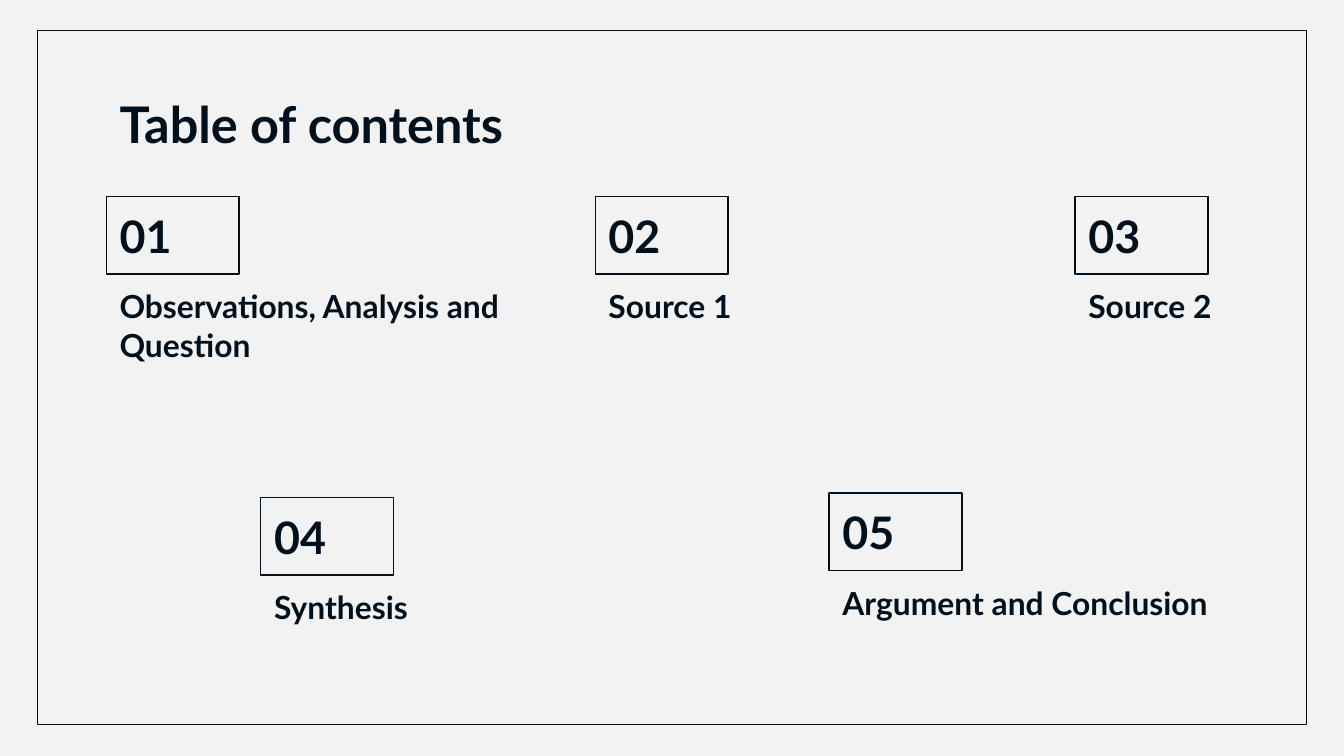
from dataclasses import dataclass

from pptx import Presentation
from pptx.dml.color import RGBColor
from pptx.enum.shapes import MSO_SHAPE as Shape
from pptx.enum.text import MSO_ANCHOR as Anchor, MSO_AUTO_SIZE as AutoSize, PP_ALIGN as Align
from pptx.util import Cm, Pt


@dataclass(frozen=True)
class Theme:
    font: str = "Lato"
    ink: RGBColor = RGBColor(0x00, 0x11, 0x1D)
    paper: RGBColor = RGBColor(0xF2, 0xF2, 0xF2)
    title: float = 27
    number: float = 24
    caption: float = 17
    line: float = 0.75


@dataclass(frozen=True)
class Entry:
    caption: str
    left: float
    top: float


THEME = Theme()
BOX_W, BOX_H = 2.51, 1.47
CAPTION_W = 7.98
INSET = 0.25
ENTRIES = [
    Entry("Observations, Analysis and Question", 2.01, 3.71),
    Entry("Source 1", 11.25, 3.71),
    Entry("Source 2", 20.32, 3.71),
    Entry("Synthesis", 4.93, 9.4),
    Entry("Argument and Conclusion", 15.67, 9.32),
]


def set_text(sp, text: str, size: float, anchor=Anchor.TOP) -> None:
    tf = sp.text_frame
    frame_format = {
        "word_wrap": True,
        "auto_size": AutoSize.NONE,
        "vertical_anchor": anchor,
        **{f"margin_{side}": Cm(INSET) for side in ("left", "top", "right", "bottom")},
    }
    for name, value in frame_format.items():
        setattr(tf, name, value)
    p = tf.paragraphs[0]
    p.alignment = Align.LEFT
    r = p.add_run()
    r.text = text
    for name, value in {"name": THEME.font, "size": Pt(size), "bold": True}.items():
        setattr(r.font, name, value)
    r.font.color.rgb = THEME.ink


def add_outline(s, kind: Shape, left: float, top: float, width: float, height: float):
    sp = s.shapes.add_shape(kind, Cm(left), Cm(top), Cm(width), Cm(height))
    sp.shadow.inherit = False
    sp.fill.background()
    sp.line.color.rgb = THEME.ink
    sp.line.width = Pt(THEME.line)
    return sp


def add_title(s, text: str) -> None:
    sp = s.shapes.title
    place = {"left": 2.01, "top": 1.5, "width": 21.41, "height": 1.6}
    for name, value in place.items():
        setattr(sp, name, Cm(value))
    set_text(sp, text, THEME.title)


def add_entry(s, number: int, entry: Entry) -> None:
    box = add_outline(s, Shape.RECTANGLE, entry.left, entry.top, BOX_W, BOX_H)
    set_text(box, f"{number:02d}", THEME.number, Anchor.MIDDLE)
    caption = s.shapes.add_textbox(
        Cm(entry.left), Cm(entry.top + BOX_H), Cm(CAPTION_W), Cm(BOX_H)
    )
    set_text(caption, entry.caption, THEME.caption)


def main() -> None:
    prs = Presentation()
    prs.slide_width, prs.slide_height = Cm(25.4), Cm(14.29)
    s = prs.slides.add_slide(prs.slide_layouts[5])
    s.background.fill.solid()
    s.background.fill.fore_color.rgb = THEME.paper
    frame = add_outline(s, Shape.ROUND_1_RECTANGLE, 0.71, 0.58, 23.98, 13.11)
    frame.adjustments[0] = 0
    add_title(s, "Table of contents")
    for number, entry in enumerate(ENTRIES, start=1):
        add_entry(s, number, entry)
    prs.save("out.pptx")


if __name__ == "__main__":
    main()
